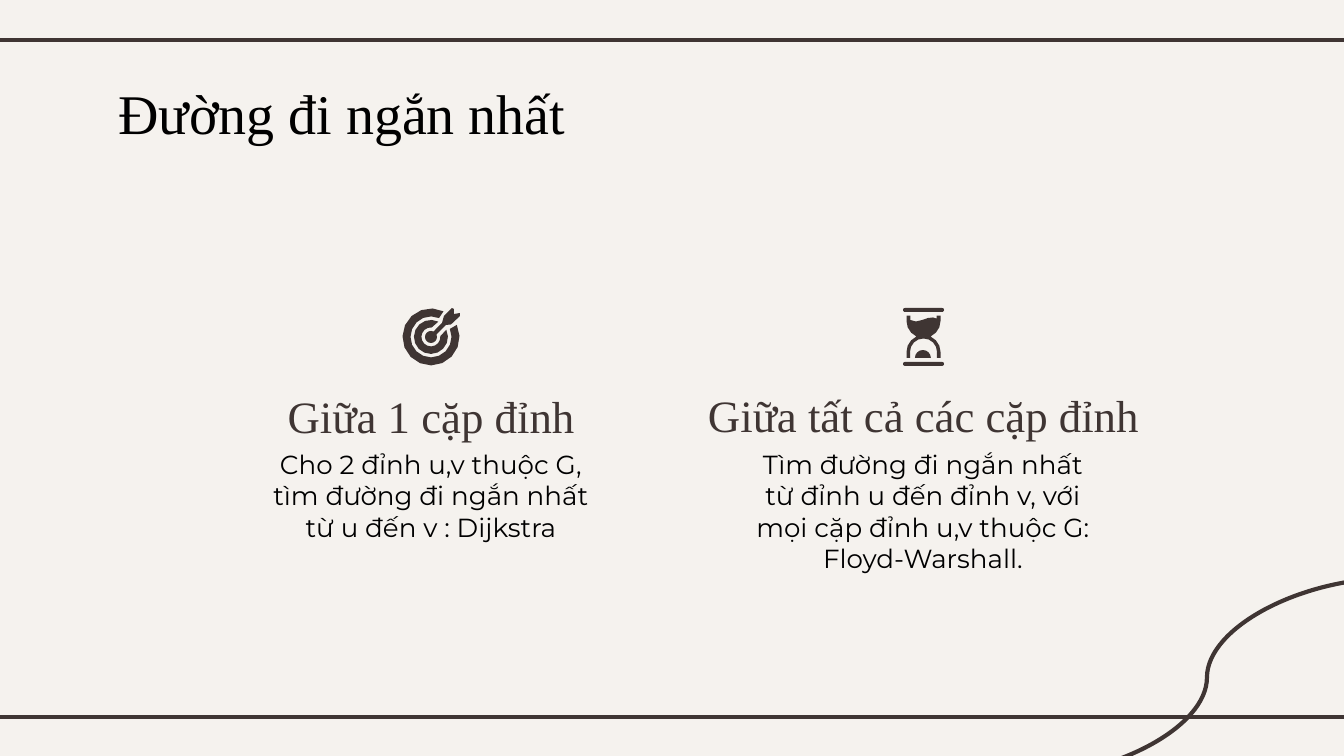
from math import ceil, cos, radians, sin

from lxml import etree
from pptx import Presentation
from pptx import util as u
from pptx.dml.color import RGBColor
from pptx.enum import shapes, text
from pptx.oxml.ns import qn

PX = 914400 / 134.4  # EMU per px
FINE = 100  # outline units per px
INK, BLACK, PAPER = "3F3533", "000000", "F5F2EE"
SERIF, SANS = "Times New Roman", "Montserrat"


def paint(color_format, hex_color):
    color_format.rgb = RGBColor.from_string(hex_color)


def arc(cx, cy, radius, start, end):
    """Points along a circle; degrees run clockwise from the right."""
    steps = ceil(abs(end - start) / 24)
    angles = [radians(start + (end - start) * i / steps) for i in range(steps + 1)]
    return [(cx + radius * cos(a), cy + radius * sin(a)) for a in angles]


prs = Presentation()
prs.slide_width, prs.slide_height = u.Emu(round(1344 * PX)), u.Emu(round(756 * PX))
slide = prs.slides.add_slide(prs.slide_layouts[5])
slide.background.fill.solid()
paint(slide.background.fill.fore_color, PAPER)

# Frame lines and corner curve
STRAIGHT, CURVE = shapes.MSO_CONNECTOR.STRAIGHT, shapes.MSO_CONNECTOR.CURVE
for kind, *ends in [
    (STRAIGHT, -11, 40, 1355, 40),
    (STRAIGHT, -11, 717, 1355, 717),
    (CURVE, 1394, 578, 1020, 777),
]:
    rule = slide.shapes.add_connector(kind, *[u.Emu(round(v * PX)) for v in ends])
    paint(rule.line.color, INK)
    rule.line.width = u.Pt(2.25)
    etree.SubElement(rule._element.spPr, qn("a:effectLst"))

# Title, column headings and explanations
LEFT, CENTER = text.PP_ALIGN.LEFT, text.PP_ALIGN.CENTER
TOP, MIDDLE = text.MSO_ANCHOR.TOP, text.MSO_ANCHOR.MIDDLE
title = slide.shapes.title
for holder, wording, place, size, font, color, align, anchor in [
    (title, "Đường đi ngắn nhất", (105, 65, 1039, 85), 30, SERIF, BLACK, LEFT, TOP),
    (None, "Giữa tất cả các cặp đỉnh", (691, 389, 465, 52), 24, SERIF, INK, CENTER, MIDDLE),
    (None, "Tìm đường đi ngắn nhất từ đỉnh u đến đỉnh v, với mọi cặp đỉnh u,v thuộc G: "
     "Floyd-Warshall.", (740, 435, 366, 133), 14, SANS, BLACK, CENTER, TOP),
    (None, "Giữa 1 cặp đỉnh", (248, 390, 366, 52), 24, SERIF, INK, CENTER, MIDDLE),
    (None, "Cho 2 đỉnh u,v thuộc G, tìm đường đi ngắn nhất từ u đến v : Dijkstra",
     (248, 435, 366, 133), 14, SANS, BLACK, CENTER, TOP),
]:
    box = [u.Emu(round(v * PX)) for v in place]
    if holder is None:
        holder = slide.shapes.add_textbox(*box)
    else:
        holder.left, holder.top, holder.width, holder.height = box
    frame = holder.text_frame
    frame.word_wrap = True
    frame.auto_size = text.MSO_AUTO_SIZE.NONE
    frame.vertical_anchor = anchor
    frame.margin_left = frame.margin_right = u.Inches(0.1)
    frame.margin_top = frame.margin_bottom = u.Inches(0.1)
    paragraph = frame.paragraphs[0]
    paragraph.alignment = align
    run = paragraph.add_run()
    run.text = wording
    run.font.size, run.font.name = u.Pt(size), font
    paint(run.font.color, color)

# Target: a dart with its hub, and two open rings
hub = (431, 337)
dart = arc(*hub, 6, -25, 295) + [
    (442, 323), (444, 316), (452, 308), (454, 309), (454, 314),
    (460, 313), (460, 316), (451, 324.5), (446, 325),
]
inner_ring = arc(*hub, 17, -25, 296) + arc(*hub, 9.5, 275, -5)
outer_ring = arc(*hub, 28.5, -25, 296) + arc(*hub, 20.5, 293, -23)

# Hourglass: the sand heap, and the glass with a wavy sand top
upper, lower = (923.5, 321), (923.5, 352)
heap = arc(923, 358, 8, 180, 360)
glass = (
    [(906.5, 315.5), (910.5, 315.5), (910.5, 320), (916, 321.5), (922, 320),
     (928, 318), (933, 317.5), (936.5, 318.5), (936.5, 315.5), (940.5, 315.5)]
    + arc(*upper, 17, 0, 65) + arc(*lower, 17, -65, 0)
    + [(940.5, 358), (937, 358)] + arc(*lower, 13.5, 0, -180)
    + [(910, 358), (906.5, 358)] + arc(*lower, 17, -180, -115)
    + arc(*upper, 17, 115, 180)
)

# Icons, each a group of outlines and bars
for outlines, bar_tops in [
    ((dart, inner_ring, outer_ring), ()),
    ((heap, glass), (362, 308)),
]:
    icon = slide.shapes.add_group_shape()
    for outline in outlines:
        points = [(x * FINE, y * FINE) for x, y in outline]
        builder = icon.shapes.build_freeform(*points[0], scale=PX / FINE)
        builder.add_line_segments(points[1:], close=True)
        builder.convert_to_shape()
    for bar_top in bar_tops:
        bar = icon.shapes.add_shape(
            shapes.MSO_SHAPE.ROUNDED_RECTANGLE,
            *[u.Emu(round(v * PX)) for v in (903, bar_top, 41, 4)])
        bar.adjustments[0] = 0.5
    for part in icon.shapes:
        part.shadow.inherit = False
        part.fill.solid()
        paint(part.fill.fore_color, INK)
        part.line.fill.background()

prs.save("out.pptx")
